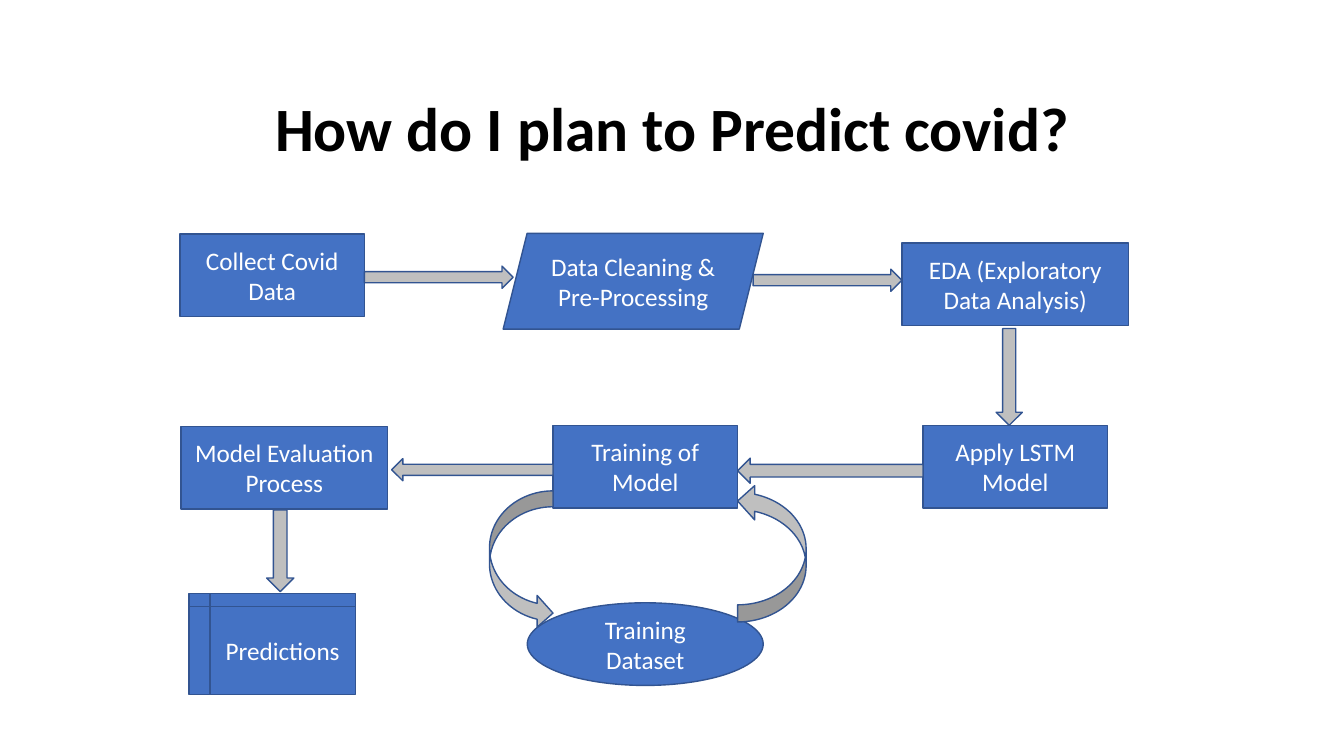
from pptx import Presentation
from pptx import util as u
from pptx.dml.color import RGBColor
from pptx.enum import shapes, text

KIND = shapes.MSO_SHAPE
BLUE = RGBColor(0x44, 0x72, 0xC4)
OUTLINE = RGBColor(0x32, 0x54, 0x91)
GREY = RGBColor(0xBF, 0xBF, 0xBF)
WHITE = RGBColor(0xFF, 0xFF, 0xFF)
BLACK = RGBColor(0, 0, 0)
FONT = "Calibri"

TITLE = "How do I plan to Predict covid?"

COLUMNS = (2.7, 6.4, 10.07)
ROWS = (2.73, 4.63, 6.39)

# step: kind, column, row, nudge, size, lines
STEPS = {
    "collect": (KIND.RECTANGLE, 0, 0, (0, 0), (1.83, 0.82), ["Collect Covid Data"]),
    "lstm": (KIND.RECTANGLE, 2, 1, (0, 0), (1.83, 0.82), ["Apply LSTM Model"]),
    "eda": (KIND.RECTANGLE, 2, 0, (0, 0.09), (2.25, 0.82), ["EDA (Exploratory Data Analysis)"]),
    "cleaning": (KIND.PARALLELOGRAM, 1, 0, (-0.12, 0.06), (2.58, 0.95),
                 ["Data Cleaning &", "Pre-Processing"]),
    "dataset": (KIND.OVAL, 1, 2, (0, 0), (2.34, 0.82), ["Training Dataset"]),
    "predictions": (KIND.FLOWCHART_INTERNAL_STORAGE, 0, 2, (0, 0), (1.65, 1), ["Predictions"]),
    "training": (KIND.RECTANGLE, 1, 1, (0, 0), (1.83, 0.82), ["Training of Model"]),
    "evaluation": (KIND.RECTANGLE, 0, 1, (0.12, 0.01), (2.05, 0.82), ["Model Evaluation Process"]),
}

# from, to, axis position, thickness, gap at start, gap at end
ACROSS = [
    ("collect", "cleaning", 2.75, 0.22, 0, -0.1),
    ("cleaning", "eda", 2.78, 0.22, -0.1, 0),
    ("lstm", "training", 4.67, 0.25, 0, 0),
    ("training", "evaluation", 4.66, 0.22, 0, 0.04),
]
DOWN = [
    ("eda", "lstm", 10.01, 0.26, 0.03, 0),
    ("evaluation", "predictions", 2.78, 0.27, 0.01, 0.02),
]
LOOP_HEIGHT = 1.37
LOOP_OUT = (0.63, 4.87)
LOOP_BACK = (0.68, 4.8)


def step_box(name):
    _, column, row, (dx, dy), (width, height), _ = STEPS[name]
    return COLUMNS[column] + dx - width / 2, ROWS[row] + dy - height / 2, width, height


def write(frame, lines, size, color, bold=False):
    frame.word_wrap = True
    for number, line in enumerate(lines):
        paragraph = frame.paragraphs[0] if number == 0 else frame.add_paragraph()
        paragraph.alignment = text.PP_ALIGN.CENTER
        run = paragraph.add_run()
        run.text = line
        run.font.name = FONT
        run.font.size = u.Pt(size)
        run.font.bold = bold
        run.font.color.rgb = color


def draw(slide, kind, box, fill, rotation=0):
    shape = slide.shapes.add_shape(kind, *map(u.Inches, box))
    shape.shadow.inherit = False
    shape.fill.solid()
    shape.fill.fore_color.rgb = fill
    shape.line.color.rgb = OUTLINE
    shape.line.width = u.Pt(1)
    shape.rotation = rotation
    return shape


def add_title(slide):
    title = slide.shapes.add_textbox(*map(u.Inches, (1.67, 0.86, 10, 0.82))).text_frame
    title.vertical_anchor = text.MSO_ANCHOR.BOTTOM
    write(title, [TITLE], 44, BLACK, True)
    title.paragraphs[0].line_spacing = 0.9


def add_steps(slide):
    for name, (kind, *_, lines) in STEPS.items():
        frame = draw(slide, kind, step_box(name), BLUE).text_frame
        frame.vertical_anchor = text.MSO_ANCHOR.MIDDLE
        write(frame, lines, 18, WHITE)


def add_arrows(slide):
    for source, target, middle, thickness, start_gap, end_gap in ACROSS:
        first, second = step_box(source), step_box(target)
        backward = first[0] > second[0]
        if backward:
            first, second = second, first
            start_gap, end_gap = end_gap, start_gap
        left = first[0] + first[2] + start_gap
        box = (left, middle - thickness / 2, second[0] - end_gap - left, thickness)
        draw(slide, KIND.RIGHT_ARROW, box, GREY, 180 if backward else 0)
    for source, target, middle, thickness, start_gap, end_gap in DOWN:
        first, second = step_box(source), step_box(target)
        top = first[1] + first[3] + start_gap
        box = (middle - thickness / 2, top, thickness, second[1] - end_gap - top)
        draw(slide, KIND.DOWN_ARROW, box, GREY)


def add_loop(slide):
    left, _, width, _ = step_box("training")
    out_width, out_top = LOOP_OUT
    draw(slide, KIND.CURVED_RIGHT_ARROW,
         (left - out_width, out_top, out_width, LOOP_HEIGHT), GREY)
    back_width, back_top = LOOP_BACK
    back = draw(slide, KIND.CURVED_LEFT_ARROW,
                (left + width, back_top, back_width, LOOP_HEIGHT), GREY, 180)
    back._element.spPr.xfrm.set("flipH", "1")


def main():
    deck = Presentation()
    deck.slide_width, deck.slide_height = u.Inches(13.33), u.Inches(7.5)
    slide = deck.slides.add_slide(deck.slide_layouts[6])
    add_title(slide)
    add_steps(slide)
    add_arrows(slide)
    add_loop(slide)
    deck.save("out.pptx")


if __name__ == "__main__":
    main()
